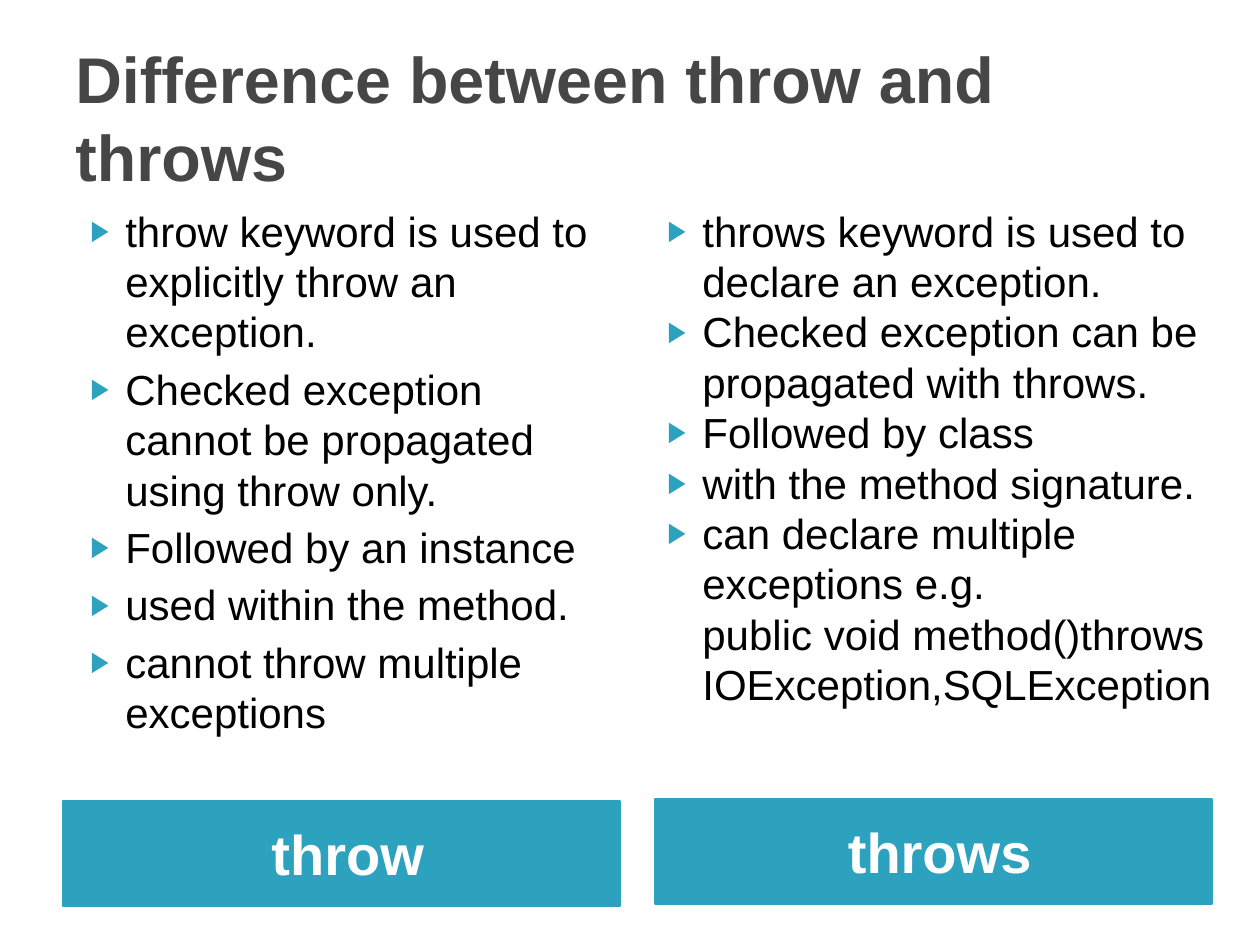
"""Builds a slide that compares the throw and throws keywords."""
from lxml.etree import SubElement
from pptx import Presentation
from pptx.dml.color import RGBColor
from pptx.enum.shapes import MSO_SHAPE as Shape
from pptx.enum.text import MSO_ANCHOR as Anchor, PP_ALIGN as Align
from pptx.oxml.ns import qn
from pptx.util import Emu, Pt

COLORS = {"title": "464646", "accent": "2DA2BF", "body": "000000", "label": "FFFFFF"}
THROW_POINTS = [
    "throw keyword is used to explicitly throw an exception.",
    "Checked exception cannot be propagated using throw only.",
    "Followed by an instance",
    "used within the method.",
    "cannot throw multiple exceptions",
]
THROWS_POINTS = [
    "throws keyword is used to declare an exception.",
    "Checked exception can be propagated with throws.",
    "Followed by class",
    "with the method signature.",
    "can declare multiple exceptions e.g.\n"
    "public void method()throws IOException,SQLException",
]


def px(length):
    return Emu(round(length * 914400 / 126))


def add_bullet(para):
    props = para._p.get_or_add_pPr()
    props.set("marL", str(px(50)))
    props.set("indent", str(px(-35)))
    color = SubElement(props, qn("a:buClr"))
    SubElement(color, qn("a:srgbClr"), val=COLORS["accent"])
    SubElement(props, qn("a:buSzPct"), val="68000")
    SubElement(props, qn("a:buFont"), typeface="Arial")
    SubElement(props, qn("a:buChar"), char="▶")


def write(frame, texts, size, color, bold=False, align=Align.LEFT,
          anchor=Anchor.TOP, gap=0, bullets=False):
    frame.word_wrap = True
    frame.vertical_anchor = anchor
    for index, text in enumerate(texts):
        para = frame.add_paragraph() if index else frame.paragraphs[0]
        para.text = text
        para.alignment = align
        para.space_before = Pt(gap if index else 0)
        if bullets:
            add_bullet(para)
        for span in para.runs:
            span.font.name = "Arial"
            span.font.size = Pt(size)
            span.font.bold = bold
            span.font.color.rgb = RGBColor.from_string(COLORS[color])


class SlideBuilder:
    def __init__(self, deck):
        self.page = deck.slides.add_slide(deck.slide_layouts[6])

    def text(self, left, top, width, height, texts, **style):
        box = self.page.shapes.add_textbox(px(left), px(top), px(width), px(height))
        write(box.text_frame, texts, **style)

    def bar(self, left, top, width, height, label):
        bar = self.page.shapes.add_shape(
            Shape.RECTANGLE, px(left), px(top), px(width), px(height))
        bar.shadow.inherit = False
        accent = RGBColor.from_string(COLORS["accent"])
        bar.fill.solid()
        bar.fill.fore_color.rgb = accent
        bar.line.color.rgb = accent
        bar.line.width = Pt(0.75)
        bar.text_frame.margin_left = px(25)
        write(bar.text_frame, [label], size=32, color="label", bold=True,
              align=Align.CENTER, anchor=Anchor.MIDDLE)


def main():
    deck = Presentation()
    deck.slide_width, deck.slide_height = px(1260), px(945)
    slide = SlideBuilder(deck)
    slide.text(63, 38, 1134, 157, ["Difference between throw and throws"],
               size=36.9, color="title", bold=True, anchor=Anchor.MIDDLE)
    slide.bar(63, 801, 557, 105, "throw")
    slide.bar(655, 799, 557, 105, "throws")
    for left, width, points, gap in ((63, 557, THROW_POINTS, 4),
                                     (640, 588, THROWS_POINTS, 0)):
        slide.text(left, 199, width, 543, points, size=24, color="body",
                   gap=gap, bullets=True)
    deck.save("out.pptx")


if __name__ == "__main__":
    main()
